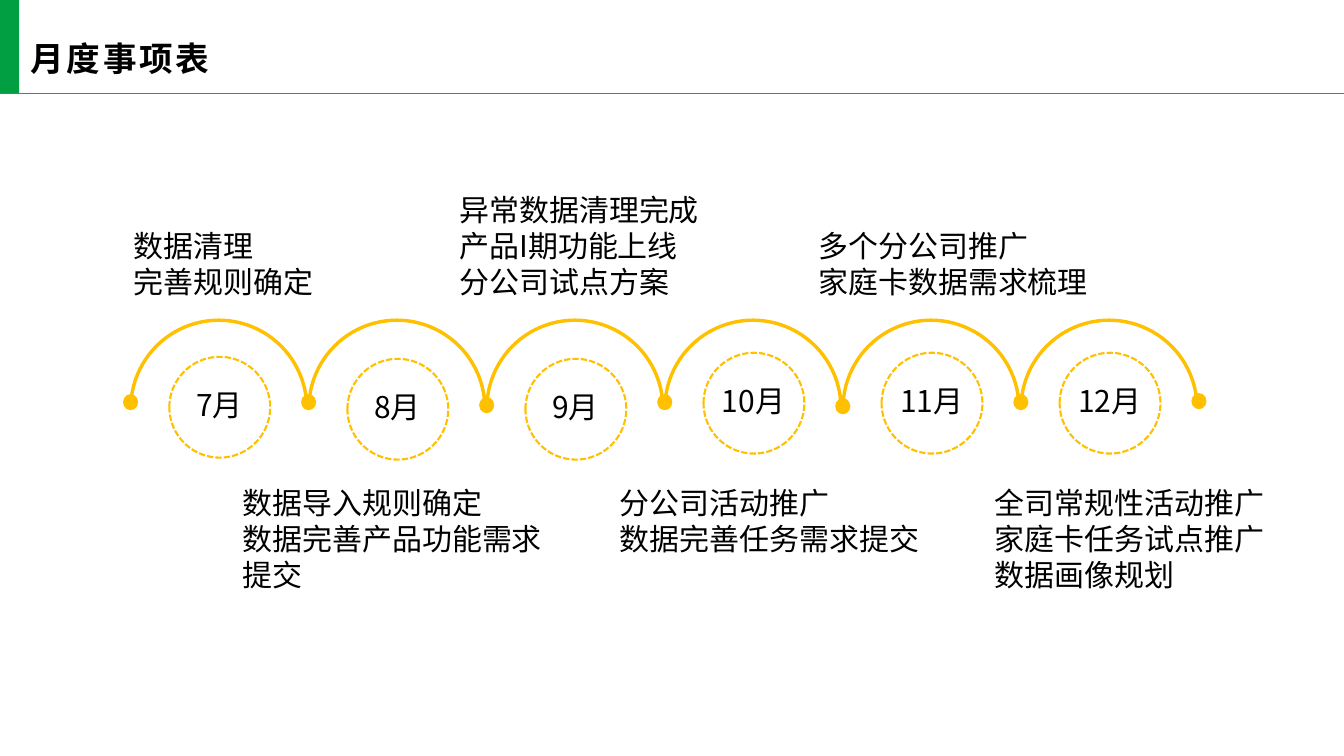
from lxml import etree
from pptx import Presentation
from pptx import util as u
from pptx.dml.color import RGBColor
from pptx.enum import dml, shapes, text
from pptx.oxml.ns import qn

COLOURS = {"green": "029E42", "rule": "00B050", "amber": "FFC000",
           "ink": "000000", "paper": "FFFFFF"}
FONT = "Noto Sans CJK SC"
PITCH = (10.11 - 1.28) / 5  # distance from one month to the next

# month, top of its ring
MONTHS = [("7月", 3.54), ("8月", 3.56), ("9月", 3.56),
          ("10月", 3.5), ("11月", 3.5), ("12月", 3.5)]
DOT_TOPS = [3.91, 3.91, 3.94, 3.91, 3.95, 3.91, 3.9]

# left, top, width, height, lines
NOTES = [
    (1.23, 2.21, 2.62, 0.82, ["数据清理", "完善规则确定"]),
    (2.31, 4.76, 3.27, 1.18, ["数据导入规则确定", "数据完善产品功能需求提交"]),
    (4.46, 1.85, 3.21, 1.18, ["异常数据清理完成", "产品I期功能上线", "分公司试点方案"]),
    (6.05, 4.76, 3.27, 0.82, ["分公司活动推广", "数据完善任务需求提交"]),
    (8.02, 2.21, 3.21, 0.82, ["多个分公司推广", "家庭卡数据需求梳理"]),
    (9.77, 4.76, 3.27, 1.18, ["全司常规性活动推广", "家庭卡任务试点推广", "数据画像规划"]),
]


def colour(name):
    return RGBColor.from_string(COLOURS[name])


def write(para, words, size=21.4, bold=False, align=text.PP_ALIGN.LEFT,
          leading=None, tracking=None):
    """Put one formatted span of text in a paragraph."""
    para.alignment = align
    if leading:
        para.line_spacing = u.Pt(leading)
    span = para.add_run()
    span.text = words
    span.font.size = u.Pt(size)
    span.font.bold = bold
    span.font.name = FONT
    span.font.color.rgb = colour("ink")
    properties = span.font._element
    etree.SubElement(properties, qn("a:ea")).set("typeface", FONT)
    if tracking:
        properties.set("spc", str(tracking * 100))


class Board:
    """The current slide and its style."""

    def __init__(self, deck):
        self.page = deck.slides.add_slide(deck.slide_layouts[5])
        self.page.background.fill.solid()
        self.page.background.fill.fore_color.rgb = colour("paper")

    def title(self, words, left, top, width, height):
        box = self.page.shapes.title
        box.left, box.top, box.width, box.height = map(
            u.Inches, (left, top, width, height))
        frame = box.text_frame
        frame.vertical_anchor = text.MSO_ANCHOR.MIDDLE
        frame.auto_size = text.MSO_AUTO_SIZE.NONE
        frame.margin_left, frame.margin_right = u.Inches(0.11), u.Inches(0.08)
        frame.margin_top = frame.margin_bottom = u.Inches(0.04)
        write(frame.paragraphs[0], words, size=24, bold=True, tracking=2)

    def shape(self, kind, left, top, width, height, fill=None, parent=None):
        owner = parent.shapes if parent else self.page.shapes
        shape = owner.add_shape(kind, *map(u.Inches, (left, top, width, height)))
        shape.shadow.inherit = False
        shape.line.fill.background()
        if fill:
            shape.fill.solid()
            shape.fill.fore_color.rgb = colour(fill)
        else:
            shape.fill.background()
        return shape

    def ring(self, left, top):
        ring = self.shape(shapes.MSO_SHAPE.OVAL, left, top, 1, 1)
        ring.line.color.rgb = colour("amber")
        ring.line.width = u.Pt(1.5)
        ring.line.dash_style = dml.MSO_LINE.SQUARE_DOT

    def rule(self, top, width):
        rule = self.page.shapes.add_connector(
            shapes.MSO_CONNECTOR.STRAIGHT, 0, u.Inches(top),
            u.Inches(width), u.Inches(top))
        rule.line.color.rgb = colour("rule")
        rule.line.width = u.Pt(1)
        etree.SubElement(rule._element.spPr, qn("a:effectLst"))

    def words(self, lines, left, top, width, height, **style):
        box = self.page.shapes.add_textbox(
            *map(u.Inches, (left, top, width, height)))
        frame = box.text_frame
        frame.word_wrap = True
        frame.auto_size = text.MSO_AUTO_SIZE.SHAPE_TO_FIT_TEXT
        for index, line in enumerate(lines):
            para = frame.add_paragraph() if index else frame.paragraphs[0]
            write(para, line, leading=25.7, **style)


def main():
    deck = Presentation()
    deck.slide_width, deck.slide_height = u.Inches(13.33), u.Inches(7.5)
    board = Board(deck)

    # Header
    board.shape(shapes.MSO_SHAPE.RECTANGLE, 0, -0.01, 0.19, 0.94, "green")
    board.rule(0.93, 13.33)
    board.title("月度事项表", 0.19, 0.22, 5.88, 0.71)

    # Chain of arcs and dots
    chain = board.page.shapes.add_group_shape()
    for index in range(len(MONTHS)):
        arc = board.shape(shapes.MSO_SHAPE.BLOCK_ARC, 1.28 + index * PITCH,
                          3.16, 1.78, 1.78, "amber", chain)
        for slot, value in enumerate((108, 214.087, 0.019)):
            arc.adjustments[slot] = value
    for index, top in enumerate(DOT_TOPS):
        board.shape(shapes.MSO_SHAPE.OVAL, 1.22 + index * PITCH, top,
                    0.15, 0.16, "amber", chain)

    # Months in their rings
    for index, (month, top) in enumerate(MONTHS):
        left = 1.68 + index * PITCH
        board.ring(left, top)
        board.words([month], left - 0.03, top + 0.25, 1.05, 0.46,
                    align=text.PP_ALIGN.CENTER)

    # Tasks above and below the chain
    for left, top, width, height, lines in NOTES:
        board.words(lines, left, top, width, height)

    deck.save("out.pptx")


if __name__ == "__main__":
    main()
